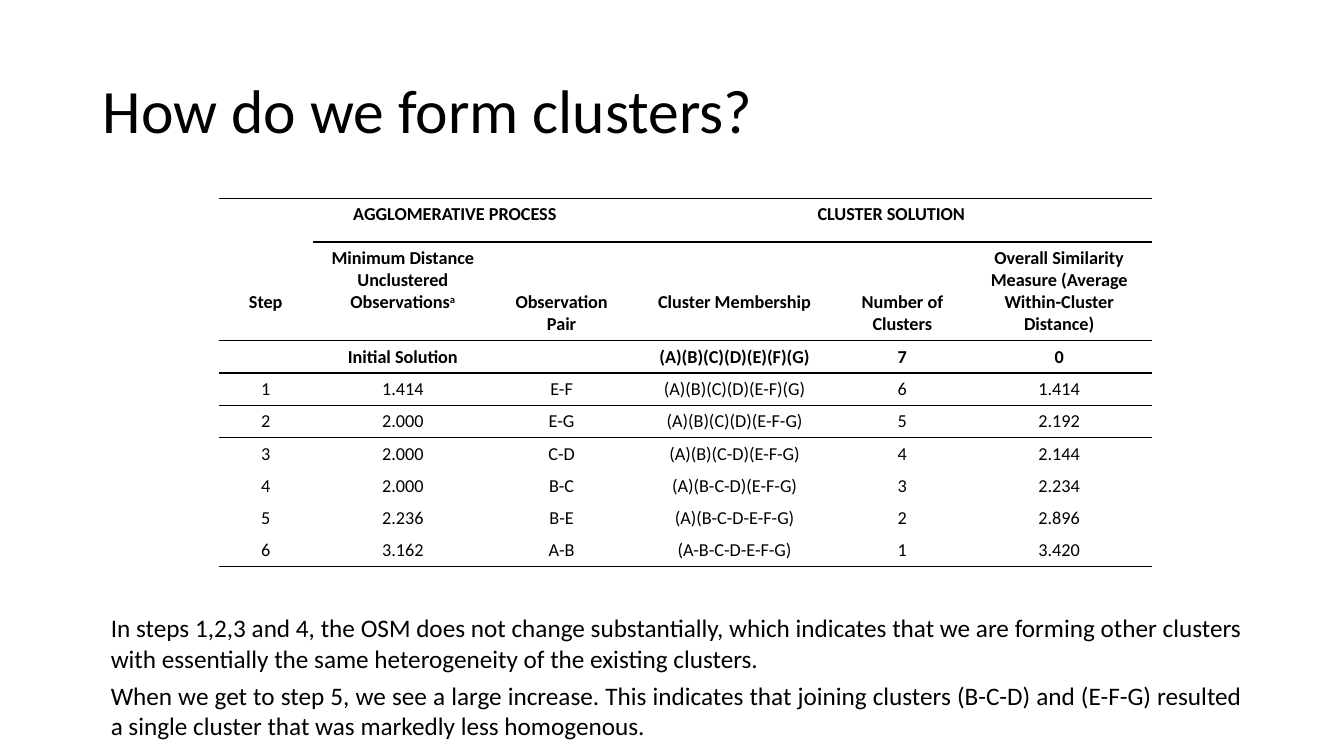
from lxml import etree
from pptx import Presentation
from pptx.dml.color import RGBColor
from pptx.enum.text import MSO_ANCHOR, PP_ALIGN
from pptx.oxml.ns import qn
from pptx.util import Inches, Pt

CENTER, JUSTIFY, LEFT = PP_ALIGN.CENTER, PP_ALIGN.JUSTIFY, PP_ALIGN.LEFT
MIDDLE = MSO_ANCHOR.MIDDLE
TITLE_ONLY = 5
FONT = "Calibri"
BLACK = "000000"
NO_TABLE_STYLE = "{2D5ABB26-0587-4C30-8999-92F81FD0307C}"
TABLE_SIZE = 13
BODY_SIZE = 18

COLUMN_WIDTHS = [0.93, 1.79, 1.36, 2.07, 1.26, 1.85]
ROW_HEIGHTS = [0.43, 0.9] + [0.3] * 7
HEADINGS = [
    "Step",
    "Minimum Distance Unclustered Observations",
    "Observation Pair",
    "Cluster Membership",
    "Number of Clusters",
    "Overall Similarity Measure (Average Within-Cluster Distance)",
]
LOWERED_HEADINGS = (0, 2, 3, 4)
SOLUTIONS = [
    ["", "Initial Solution", "", "(A)(B)(C)(D)(E)(F)(G)", "7", "0"],
    ["1", "1.414", "E-F", "(A)(B)(C)(D)(E-F)(G)", "6", "1.414"],
    ["2", "2.000", "E-G", "(A)(B)(C)(D)(E-F-G)", "5", "2.192"],
    ["3", "2.000", "C-D", "(A)(B)(C-D)(E-F-G)", "4", "2.144"],
    ["4", "2.000", "B-C", "(A)(B-C-D)(E-F-G)", "3", "2.234"],
    ["5", "2.236", "B-E", "(A)(B-C-D-E-F-G)", "2", "2.896"],
    ["6", "3.162", "A-B", "(A-B-C-D-E-F-G)", "1", "3.420"],
]
TOP_RULES = {0: 0, 1: 1, 2: 0, 3: 0, 4: 0}
REMARKS = [
    (6.03, 1.01, "In steps 1,2,3 and 4, the OSM does not change substantially, "
     "which indicates that we are forming other clusters with essentially the "
     "same heterogeneity of the existing clusters."),
    (6.7, 0.71, "When we get to step 5, we see a large increase. This indicates "
     "that joining clusters (B-C-D) and (E-F-G) resulted a single cluster that "
     "was markedly less homogenous."),
]


def color(hex_code):
    """Turn a hex string into a colour."""
    return RGBColor.from_string(hex_code)


def add_run(paragraph, text, size, bold=False):
    """Append a formatted run and return it."""
    run = paragraph.add_run()
    run.text = text
    run.font.name = FONT
    run.font.size = Pt(size)
    run.font.bold = bold
    run.font.color.rgb = color(BLACK)
    return run


def add_title(slide, text):
    """Place and fill the slide title."""
    title = slide.shapes.title
    title.left, title.top = Inches(0.92), Inches(0.4)
    title.width, title.height = Inches(11.5), Inches(1.45)
    title.text_frame.vertical_anchor = MIDDLE
    heading = title.text_frame.paragraphs[0]
    heading.alignment = LEFT
    heading.line_spacing = 0.9
    add_run(heading, text, 44)


def add_remark(slide, top, height, text):
    """Add a justified remark below the table."""
    remark = slide.shapes.add_textbox(
        Inches(1), Inches(top), Inches(11.42), Inches(height))
    remark.text_frame.word_wrap = True
    paragraph = remark.text_frame.paragraphs[0]
    paragraph.alignment = JUSTIFY
    add_run(paragraph, text, BODY_SIZE)


def fill_cell(cell, text, bold=False):
    """Write centred text into a cell and return its paragraph."""
    paragraph = cell.text_frame.paragraphs[0]
    paragraph.alignment = CENTER
    if text:
        add_run(paragraph, text, TABLE_SIZE, bold)
    else:
        etree.SubElement(paragraph._p, qn("a:endParaRPr"), sz=str(TABLE_SIZE * 100))
    return paragraph


def rule_cell(cell, side):
    """Draw a one-point line on the top (T) or bottom (B) of a cell."""
    line = etree.Element(qn(f"a:ln{side}"), w=str(Pt(1)))
    fill = etree.SubElement(line, qn("a:solidFill"))
    etree.SubElement(fill, qn("a:srgbClr"), val=BLACK)
    cell._tc.get_or_add_tcPr().insert(0, line)


def add_plain_table(slide):
    """Add an unstyled table with the set column widths and row heights."""
    frame = slide.shapes.add_table(
        len(ROW_HEIGHTS), len(COLUMN_WIDTHS), Inches(2.17), Inches(1.97),
        Inches(sum(COLUMN_WIDTHS)), Inches(sum(ROW_HEIGHTS)))
    table = frame.table
    table.first_row = table.horz_banding = False
    table._tbl.tblPr.find(qn("a:tableStyleId")).text = NO_TABLE_STYLE
    for column, width in zip(table.columns, COLUMN_WIDTHS):
        column.width = Inches(width)
    for row, height in zip(table.rows, ROW_HEIGHTS):
        row.height = Inches(height)
    for cell in table.iter_cells():
        cell.fill.background()
    return table


def fill_headings(table):
    """Write the group headings and the column headings."""
    for first, group in ((0, "AGGLOMERATIVE PROCESS"), (3, "CLUSTER SOLUTION")):
        table.cell(0, first).merge(table.cell(0, first + 2))
        fill_cell(table.cell(0, first), group, bold=True)
    table.cell(0, 0).margin_left = Inches(0.7)
    for column, heading in enumerate(HEADINGS):
        cell = table.cell(1, column)
        paragraph = fill_cell(cell, heading, bold=True)
        if column in LOWERED_HEADINGS:
            cell.margin_top = Inches(0.49)
        if column == 1:
            footnote = add_run(paragraph, "a", TABLE_SIZE, bold=True)
            footnote.font._element.set("baseline", "30000")


def add_cluster_table(slide):
    """Build the table of agglomeration steps."""
    table = add_plain_table(slide)
    fill_headings(table)
    for row, solution in enumerate(SOLUTIONS, start=2):
        for column, value in enumerate(solution):
            fill_cell(table.cell(row, column), value, bold=row == 2)
    for row, first in TOP_RULES.items():
        for column in range(first, len(COLUMN_WIDTHS)):
            rule_cell(table.cell(row, column), "T")
    for column in range(len(COLUMN_WIDTHS)):
        rule_cell(table.cell(len(ROW_HEIGHTS) - 1, column), "B")


def main():
    """Build and save the slide."""
    deck = Presentation()
    deck.slide_width, deck.slide_height = Inches(13.33), Inches(7.5)
    slide = deck.slides.add_slide(deck.slide_layouts[TITLE_ONLY])
    add_title(slide, "How do we form clusters?")
    add_cluster_table(slide)
    for top, height, text in REMARKS:
        add_remark(slide, top, height, text)
    deck.save("out.pptx")


main()
